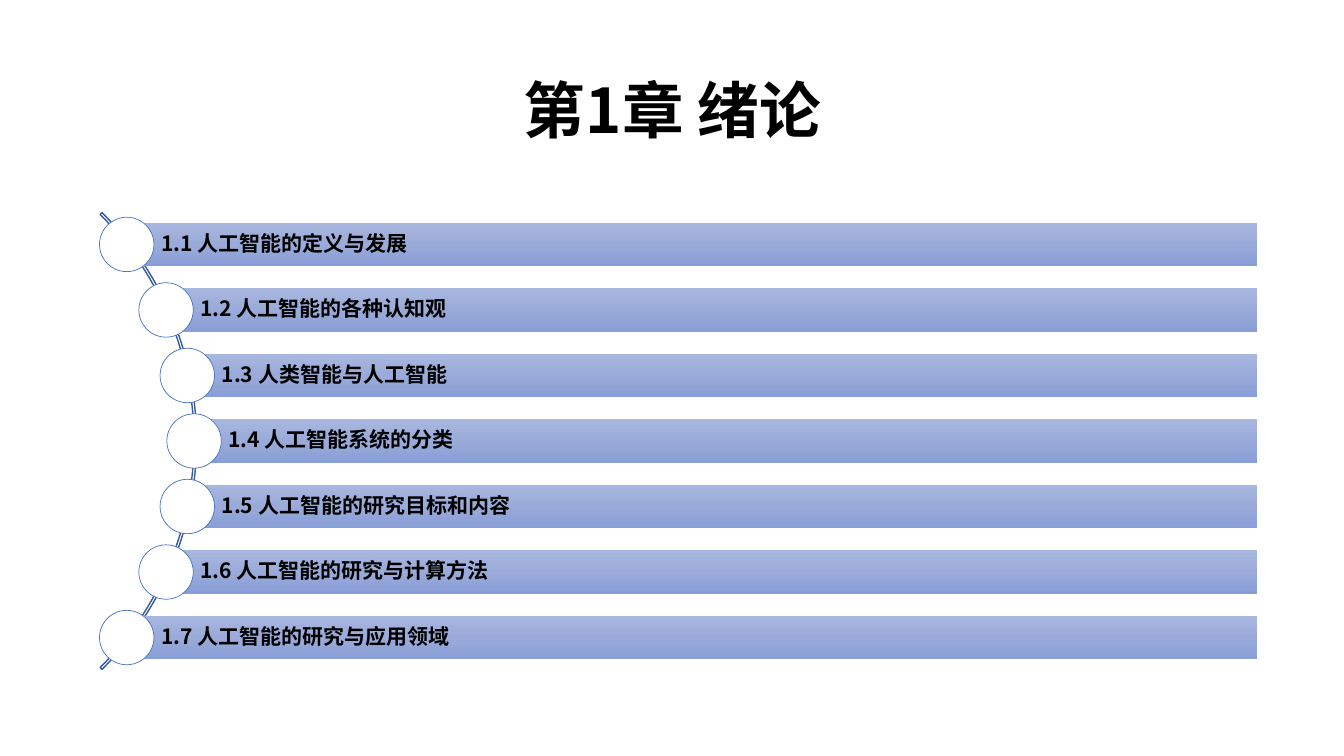
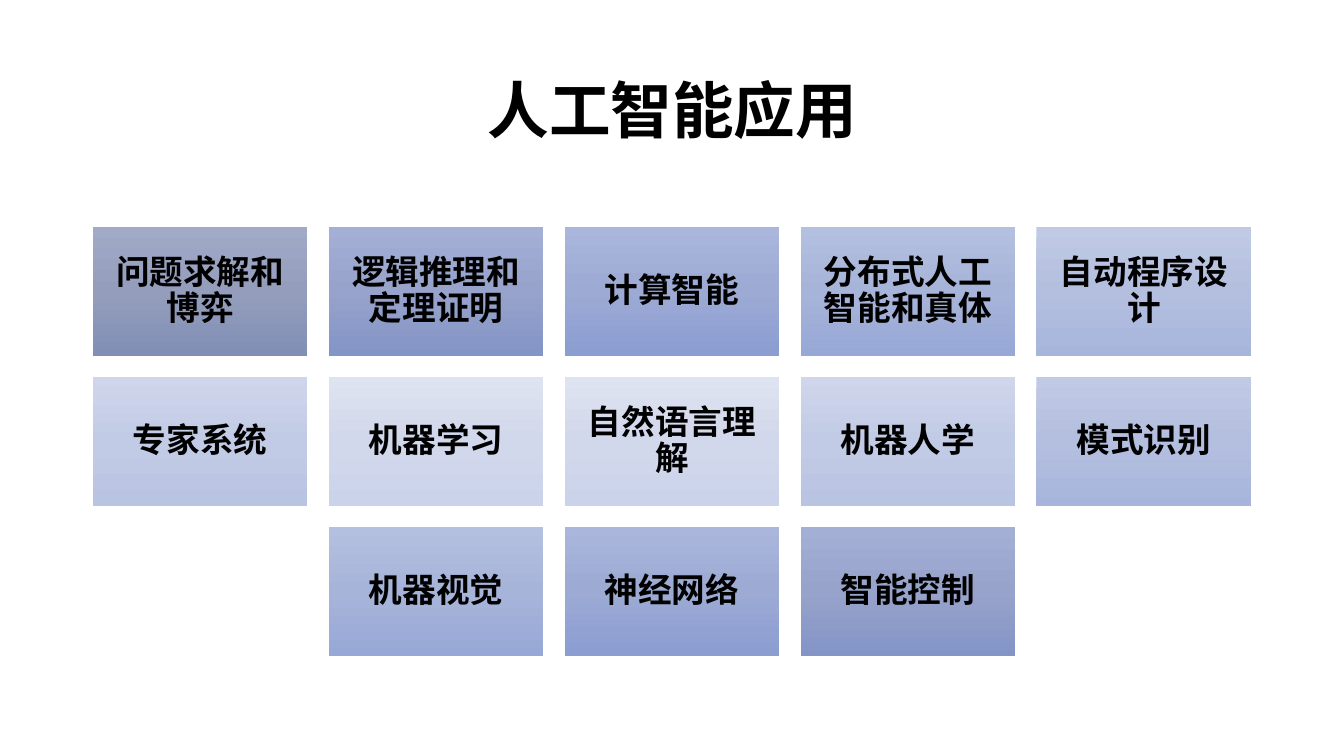
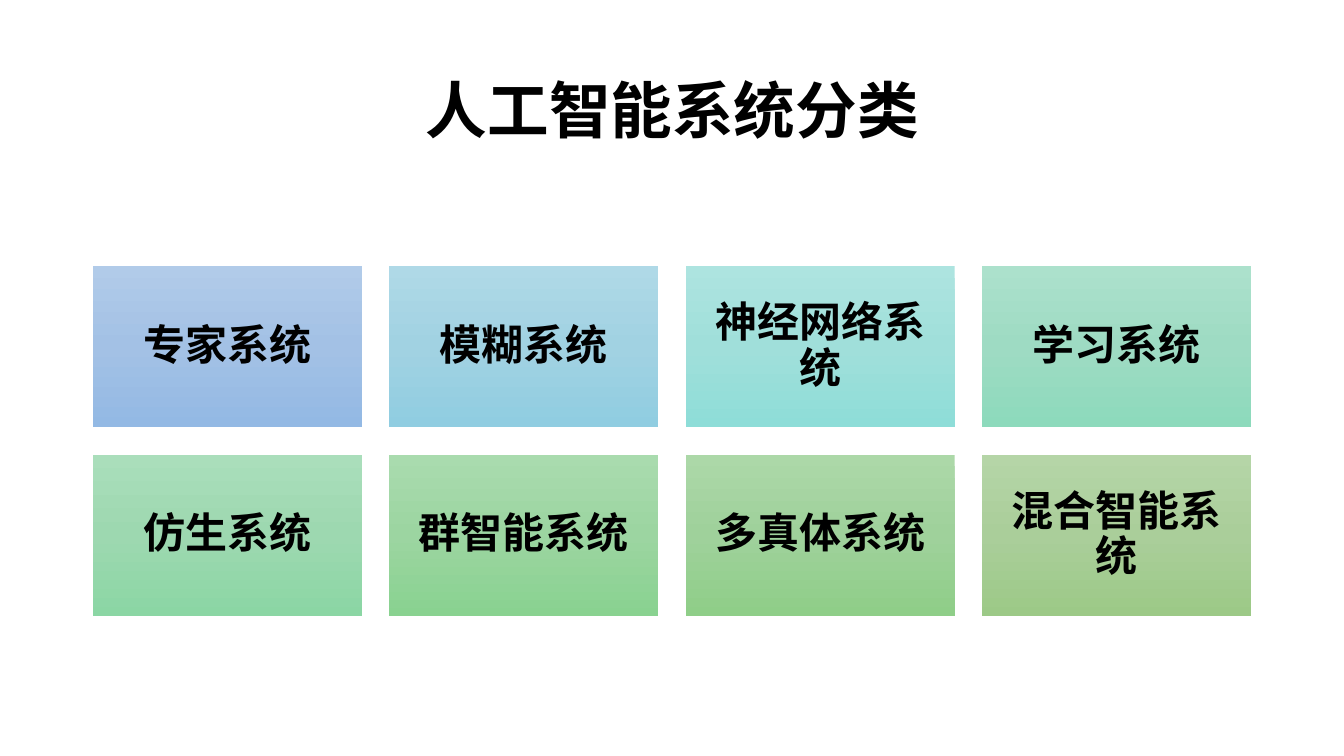
from copy import deepcopy
from math import sqrt

from lxml import etree
from pptx import Presentation
from pptx.dml.color import RGBColor
from pptx.enum.shapes import MSO_SHAPE
from pptx.enum.text import MSO_ANCHOR, PP_ALIGN
from pptx.oxml.ns import qn
from pptx.util import Inches, Pt

RECT, OVAL, ARC = MSO_SHAPE.RECTANGLE, MSO_SHAPE.OVAL, MSO_SHAPE.BLOCK_ARC
LEFT, CENTER = PP_ALIGN.LEFT, PP_ALIGN.CENTER
MIDDLE = MSO_ANCHOR.MIDDLE

SLIDE_W, SLIDE_H = 13.33, 7.5

SECTIONS = [
    "1.1 人工智能的定义与发展",
    "1.2 人工智能的各种认知观",
    "1.3 人类智能与人工智能",
    "1.4 人工智能系统的分类",
    "1.5 人工智能的研究目标和内容",
    "1.6 人工智能的研究与计算方法",
    "1.7 人工智能的研究与应用领域",
]
SECTION_SHADES = ("A8B7DF", "9AABD9", "889ED7")

APPLICATIONS = [
    "问题求解和博弈", "逻辑推理和定理证明", "计算智能", "分布式人工智能和真体", "自动程序设计",
    "专家系统", "机器学习", "自然语言理解", "机器人学", "模式识别",
    "机器视觉", "神经网络", "智能控制",
]
BLUES = [
    ("A1AAC7", "949EBC", "818EB5"),
    ("A3AFD5", "97A3CB", "8394C6"),
    ("AAB6DB", "9CAAD4", "8B9DD1"),
    ("B4C0DF", "A7B4D9", "98A8D6"),
    ("C0CAE5", "B4BFDF", "A7B5DC"),
    ("CFD6EB", "C2CBE5", "B9C4E3"),
    ("DEE3F1", "D2D8EB", "CBD3EA"),
]

SYSTEMS = {
    "专家系统": ("B1CBE9", "A3C1E5", "93B9E4"),
    "模糊系统": ("AFD9E7", "A1D2E2", "90CDE1"),
    "神经网络系统": ("ADE4E0", "A0DFDA", "8EDDD8"),
    "学习系统": ("ACE1CC", "9EDBC3", "8DDABC"),
    "仿生系统": ("AADEBB", "9DD8B0", "8BD6A4"),
    "群智能系统": ("A9DBAE", "9CD5A1", "89D290"),
    "多真体系统": ("ACD8A8", "9FD19B", "8FCE88"),
    "混合智能系统": ("B5D5A7", "AACE9A", "9CC987"),
}


def colour(hex_code):
    return RGBColor.from_string(hex_code)


class Deck:
    FONT = "Noto Sans CJK SC"
    INK = "000000"
    PAPER = "FFFFFF"
    RAIL = "365B9D"
    RING = "4472C4"

    def __init__(self):
        self.file = Presentation()
        self.file.slide_width = Inches(SLIDE_W)
        self.file.slide_height = Inches(SLIDE_H)
        self.slide = None

    def start_slide(self, title):
        self.slide = self.file.slides.add_slide(self.file.slide_layouts[6])
        heading = self.slide.shapes.add_textbox(
            Inches(0.92), Inches(0.4), Inches(11.5), Inches(1.45))
        self.label(heading, title, 44, CENTER, (0.1, 0.05, 0.1, 0.05))

    def label(self, box, text, size, align, insets):
        """Put one bold paragraph in a box; insets run left, top, right, bottom."""
        frame = box.text_frame
        frame.word_wrap = True
        frame.vertical_anchor = MIDDLE
        (frame.margin_left, frame.margin_top,
         frame.margin_right, frame.margin_bottom) = map(Inches, insets)
        paragraph = frame.paragraphs[0]
        paragraph.alignment = align
        paragraph.line_spacing = 0.9
        run = paragraph.add_run()
        run.text = text
        run.font.size = Pt(size)
        run.font.bold = True
        run.font.color.rgb = colour(self.INK)
        run.font.name = self.FONT
        properties = run._r.get_or_add_rPr()
        etree.SubElement(properties, qn("a:ea"), typeface=self.FONT)

    def shape(self, kind, left, top, width, height):
        shape = self.slide.shapes.add_shape(
            kind, Inches(left), Inches(top), Inches(width), Inches(height))
        shape.shadow.inherit = False
        return shape

    def outline(self, shape, hex_code, width):
        shape.line.color.rgb = colour(hex_code)
        shape.line.width = Pt(width)

    def panel(self, left, top, width, height, shades):
        """Add a borderless rectangle that shades from top to bottom."""
        panel = self.shape(RECT, left, top, width, height)
        panel.line.fill.background()
        panel.fill.gradient()
        panel.fill.gradient_angle = 270
        first = next(panel._element.iter(qn("a:gs")))
        first.addnext(deepcopy(first))
        for i, (stop, shade) in enumerate(zip(panel.fill.gradient_stops, shades)):
            stop.position = i / 2
            stop.color.rgb = colour(shade)
        return panel

    def rail(self, left, top, diameter):
        """Add the thin arc that the section markers sit on."""
        rail = self.shape(ARC, left, top, diameter, diameter)
        rail.adjustments[0] = 189
        rail.adjustments[1] = 27
        rail.adjustments[2] = 0.004
        rail.fill.background()
        self.outline(rail, self.RAIL, 1)

    def marker(self, center_x, center_y, diameter):
        marker = self.shape(OVAL, center_x - diameter / 2, center_y - diameter / 2,
                            diameter, diameter)
        marker.fill.solid()
        marker.fill.fore_color.rgb = colour(self.PAPER)
        self.outline(marker, self.RING, 0.5)

    def curved_list(self, sections):
        rail_left, rail_top, rail_size = -4.46, 1.17, 6.41
        center_x, center_y = rail_left + rail_size / 2, rail_top + rail_size / 2
        radius, pitch, bar_height, right = 3.18, 0.65, 0.43, 12.47
        self.rail(rail_left, rail_top, rail_size)
        for i, section in enumerate(sections):
            offset = (i - (len(sections) - 1) / 2) * pitch
            left = center_x + sqrt(radius ** 2 - offset ** 2)
            middle = center_y + offset
            bar = self.panel(left, middle - bar_height / 2, right - left,
                             bar_height, SECTION_SHADES)
            self.label(bar, section, 15, LEFT, (0.34, 0.04, 0.04, 0.04))
            self.marker(left, middle, 0.54)

    def card_grid(self, cards, columns, top, width, height, gap, size, inset):
        """Lay out (text, shades) cards in rows, each row centred on the slide."""
        for start in range(0, len(cards), columns):
            row = cards[start:start + columns]
            row_top = top + start // columns * (height + gap)
            row_left = (SLIDE_W - len(row) * (width + gap) + gap) / 2
            for i, (text, shades) in enumerate(row):
                card = self.panel(row_left + i * (width + gap), row_top,
                                  width, height, shades)
                self.label(card, text, size, CENTER, [inset] * 4)


def main():
    deck = Deck()

    deck.start_slide("第1章 绪论")
    deck.curved_list(SECTIONS)

    deck.start_slide("人工智能应用")
    there_and_back = BLUES + BLUES[:0:-1]
    deck.card_grid(list(zip(APPLICATIONS, there_and_back)), columns=5, top=2.25,
                   width=2.13, height=1.28, gap=0.21, size=24, inset=0.1)

    deck.start_slide("人工智能系统分类")
    deck.card_grid(list(SYSTEMS.items()), columns=4, top=2.64,
                   width=2.67, height=1.6, gap=0.27, size=30, inset=0.12)

    deck.file.save("out.pptx")


if __name__ == "__main__":
    main()
